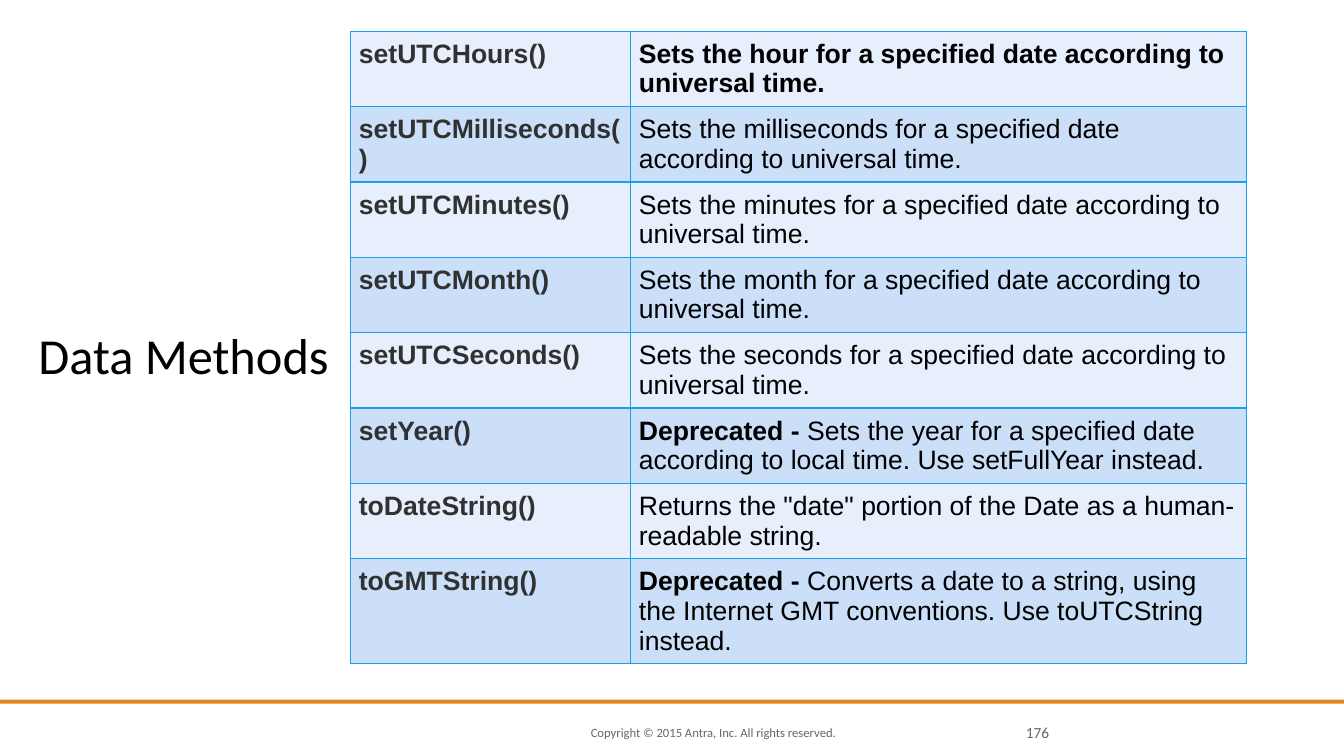
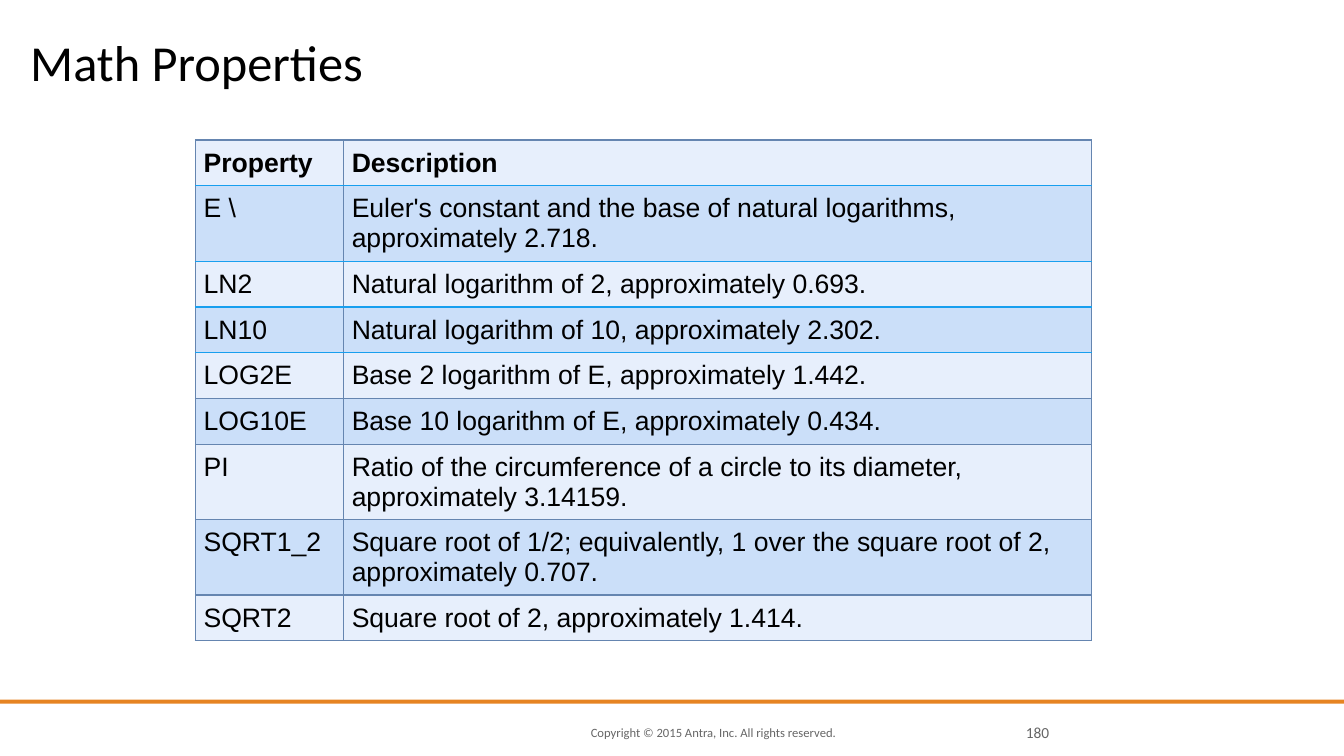
from lxml import etree
from pptx import Presentation
from pptx.dml.color import RGBColor
from pptx.enum import shapes, text
from pptx.oxml import ns
from pptx.util import Pt

BLACK, GREY, INK = "000000", "666666", "313131"
ORANGE, BLUE, SLATE = "E68422", "189FEF", "6585B0"
BANDS = ("E7EFFC", "CBDFF9")
DEPRECATED = "Deprecated - "
COPYRIGHT = "Copyright © 2015 Antra, Inc. All rights reserved."
LEFT, RIGHT, JUSTIFY = (text.PP_ALIGN.LEFT, text.PP_ALIGN.RIGHT,
                        text.PP_ALIGN.JUSTIFY)

DATE_METHODS = [
    ("setUTCHours()",
     "Sets the hour for a specified date according to universal time."),
    ("setUTCMilliseconds()",
     "Sets the milliseconds for a specified date according to universal time."),
    ("setUTCMinutes()",
     "Sets the minutes for a specified date according to universal time."),
    ("setUTCMonth()",
     "Sets the month for a specified date according to universal time."),
    ("setUTCSeconds()",
     "Sets the seconds for a specified date according to universal time."),
    ("setYear()",
     DEPRECATED + "Sets the year for a specified date according to local time. "
     "Use setFullYear instead."),
    ("toDateString()",
     'Returns the "date" portion of the Date as a human-readable string.'),
    ("toGMTString()",
     DEPRECATED + "Converts a date to a string, using the Internet GMT "
     "conventions. Use toUTCString instead."),
]
MATH_PROPERTIES = [
    ("Property", "Description"),
    ("E \\", "Euler's constant and the base of natural logarithms, "
     "approximately 2.718."),
    ("LN2", "Natural logarithm of 2, approximately 0.693."),
    ("LN10", "Natural logarithm of 10, approximately 2.302."),
    ("LOG2E", "Base 2 logarithm of E, approximately 1.442."),
    ("LOG10E", "Base 10 logarithm of E, approximately 0.434."),
    ("PI", "Ratio of the circumference of a circle to its diameter, "
     "approximately 3.14159."),
    ("SQRT1_2", "Square root of 1/2; equivalently, 1 over the square root of 2, "
     "approximately 0.707."),
    ("SQRT2", "Square root of 2, approximately 1.414."),
]


def rgb(value):
    return RGBColor.from_string(value)


def style(r, size, color, name="Calibri", bold=False):
    r.font.size = Pt(size)
    r.font.name = name
    r.font.bold = bold
    r.font.color.rgb = rgb(color)


def fill_frame(tf, content, size, color, anchor, align=LEFT):
    """Put one styled paragraph in a frame without insets."""
    tf.margin_left = tf.margin_top = tf.margin_right = tf.margin_bottom = 0
    tf.word_wrap = True
    tf.auto_size = text.MSO_AUTO_SIZE.NONE
    tf.vertical_anchor = anchor
    tf.text = content
    p = tf.paragraphs[0]
    p.alignment = align
    style(p.runs[0], size, color)
    return p


def add_footer_text(s, content, left, width, size, align=LEFT):
    box = s.shapes.add_textbox(Pt(left), Pt(516.2), Pt(width), Pt(14.4))
    fill_frame(box.text_frame, content, size, GREY, text.MSO_ANCHOR.MIDDLE, align)


def add_slide(prs, title, left, top, number):
    """Add a slide with its title, footer band, copyright line and number."""
    s = prs.slides.add_slide(prs.slide_layouts[5])
    add_footer_text(s, COPYRIGHT, 422, 219.6, 9)
    band = s.shapes.add_shape(shapes.MSO_SHAPE.RECTANGLE,
                              0, Pt(499.7), Pt(960), Pt(2.9))
    band.shadow.inherit = False
    band.fill.solid()
    band.fill.fore_color.rgb = rgb(ORANGE)
    band.line.fill.background()
    add_footer_text(s, str(number), 719.3, 30.2, 11, RIGHT)

    sp = s.shapes.title
    sp.left, sp.top, sp.width, sp.height = Pt(left), Pt(top), Pt(876), Pt(43.2)
    p = fill_frame(sp.text_frame, title, 36, BLACK, text.MSO_ANCHOR.BOTTOM)
    p.line_spacing = 0.8
    return s


def set_borders(cell, sides, top, bottom):
    """Draw 1 pt cell borders; call before the cell gets its fill."""
    tc_pr = cell._tc.get_or_add_tcPr()
    for tag, color in (("a:lnL", sides), ("a:lnR", sides),
                       ("a:lnT", top), ("a:lnB", bottom)):
        ln = etree.SubElement(tc_pr, ns.qn(tag), w=str(Pt(1)))
        solid = etree.SubElement(ln, ns.qn("a:solidFill"))
        etree.SubElement(solid, ns.qn("a:srgbClr"), val=color)


def fill_cell(cell, content, color, bold, align, band):
    cell.margin_left = cell.margin_right = Pt(5.8)
    cell.margin_top = cell.margin_bottom = Pt(5.8)
    cell.fill.solid()
    cell.fill.fore_color.rgb = rgb(band)
    p = cell.text_frame.paragraphs[0]
    p.alignment = align
    prefix = DEPRECATED if content.startswith(DEPRECATED) else ""
    for part, heavy in ((prefix, True), (content[len(prefix):], bold)):
        if part:
            r = p.add_run()
            r.text = part
            style(r, 19, color, "Arial", heavy)


def add_reference_table(s, rows, left, top, widths, grid, blue_rules=0,
                        bold_names=False):
    """Add a banded two-column table whose first row is bold.

    The first blue_rules lines between rows are blue; other lines are grid.
    """
    table = s.shapes.add_table(len(rows), 2, Pt(left), Pt(top),
                               Pt(sum(widths)), Pt(29.5 * len(rows))).table
    table.horz_banding = False
    for column, width in zip(table.columns, widths):
        column.width = Pt(width)
    rules = [BLUE if 1 <= i <= blue_rules else grid for i in range(len(rows) + 1)]
    name_color, name_align = (INK, JUSTIFY) if bold_names else (BLACK, LEFT)
    for i, (name, description) in enumerate(rows):
        for j in range(2):
            set_borders(table.cell(i, j), grid, rules[i], rules[i + 1])
        band = BANDS[i % 2]
        fill_cell(table.cell(i, 0), name, name_color, bold_names or i == 0,
                  name_align, band)
        fill_cell(table.cell(i, 1), description, BLACK, i == 0, LEFT, band)


def main():
    prs = Presentation()
    prs.slide_width, prs.slide_height = Pt(960), Pt(540)

    s = add_slide(prs, "Data Methods", 27.4, 231.1, 176)
    add_reference_table(s, DATE_METHODS, 250.6, 22.3, (200, 440), BLUE,
                        bold_names=True)

    s = add_slide(prs, "Math Properties", 21.6, 22.3, 180)
    add_reference_table(s, MATH_PROPERTIES, 139.7, 100, (105.8, 534.2), SLATE,
                        blue_rules=4)

    prs.save("out.pptx")


if __name__ == "__main__":
    main()
